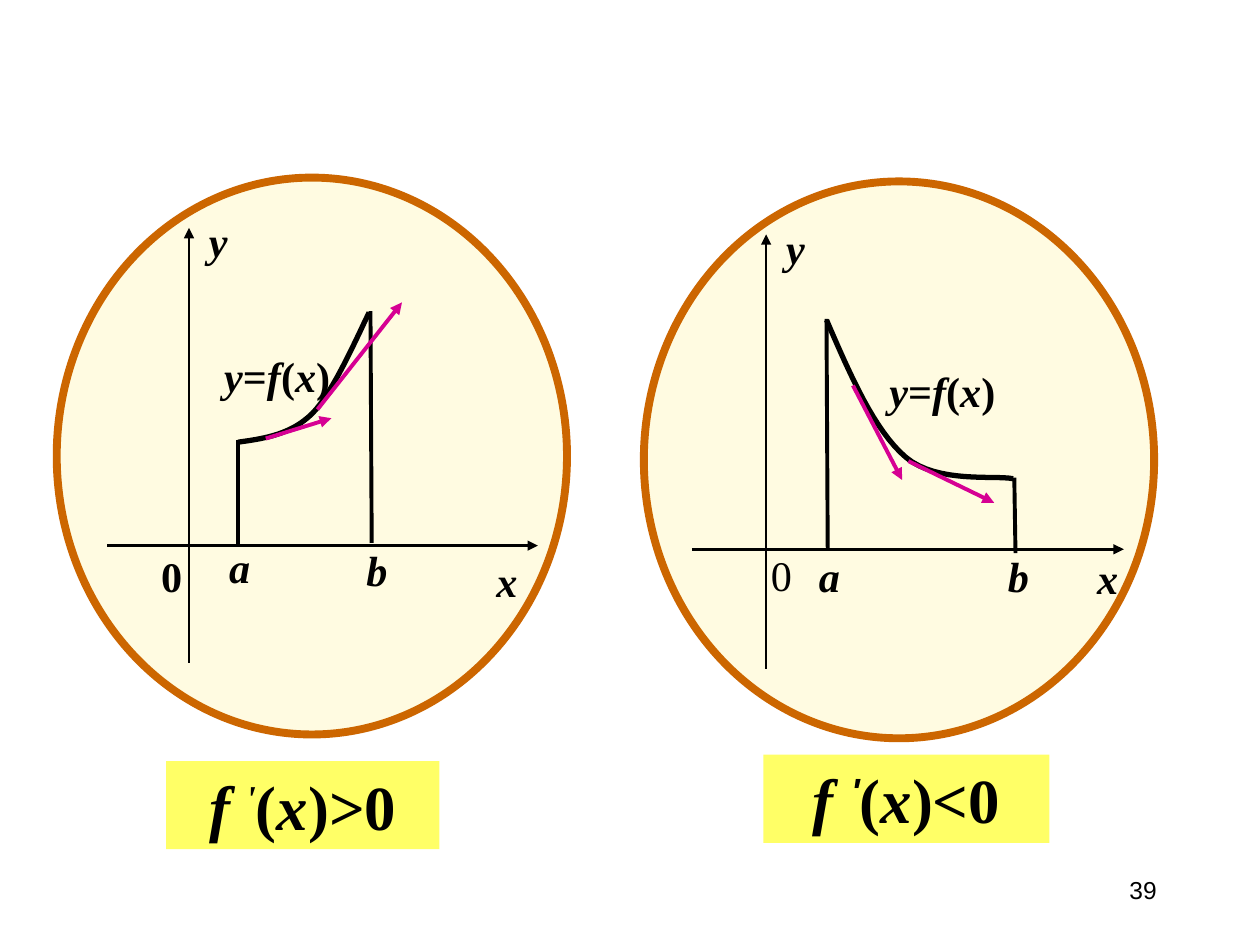
from lxml.etree import SubElement
from pptx import Presentation
from pptx.dml.color import RGBColor
from pptx.enum.shapes import MSO_CONNECTOR as Connector, MSO_SHAPE as Shape
from pptx.enum.text import MSO_ANCHOR as Anchor, PP_ALIGN as Align
from pptx.oxml.ns import qn
from pptx.util import Pt

COLORS = {
    "ink": "000000",
    "cream": "FFFBE1",
    "orange": "CC6600",
    "magenta": "D60093",
    "yellow": "FFFF66",
}
SERIF = "Times New Roman"
SANS = "Arial"
ITALIC = set("abfxy'")


def color(name):
    return RGBColor.from_string(COLORS[name])


def bezier(start, first, second, end, steps=16):
    for step in range(1, steps + 1):
        t = step / steps
        weights = ((1 - t) ** 3, 3 * t * (1 - t) ** 2, 3 * t * t * (1 - t), t ** 3)
        yield tuple(
            sum(weight * value for weight, value in zip(weights, values))
            for values in zip(start, first, second, end)
        )


class Board:
    def __init__(self, slide):
        self.slide = slide

    def shape(self, kind, box, fill, outline=None):
        shape = self.slide.shapes.add_shape(kind, *map(Pt, box))
        shape.shadow.inherit = False
        shape.fill.solid()
        shape.fill.fore_color.rgb = color(fill)
        if outline:
            shape.line.color.rgb = color(outline)
            shape.line.width = Pt(4.5)
        else:
            shape.line.fill.background()
        return shape

    def line(self, start, end, width, ink="ink", arrow=False):
        line = self.slide.shapes.add_connector(
            Connector.STRAIGHT, *map(Pt, (*start, *end))
        )
        line.line.color.rgb = color(ink)
        line.line.width = Pt(width)
        properties = line._element.spPr
        if arrow:
            SubElement(properties.find(qn("a:ln")), qn("a:tailEnd"), type="triangle")
        SubElement(properties, qn("a:effectLst"))

    def curve(self, points):
        builder = self.slide.shapes.build_freeform(*map(Pt, points[0]))
        vertices = [
            point
            for index in range(0, len(points) - 1, 3)
            for point in bezier(*points[index:index + 4])
        ]
        builder.add_line_segments([(Pt(x), Pt(y)) for x, y in vertices], close=False)
        curve = builder.convert_to_shape()
        curve.shadow.inherit = False
        curve.fill.background()
        curve.line.color.rgb = color("ink")
        curve.line.width = Pt(3)

    def run(self, paragraph, text, size, font=SERIF, bold=True, raised=False):
        run = paragraph.add_run()
        run.text = text
        run.font.size = Pt(size)
        run.font.name = font
        run.font.bold = bold
        run.font.italic = text[0] in ITALIC
        run.font.color.rgb = color("ink")
        if raised:
            run._r.get_or_add_rPr().set("baseline", "30000")

    def label(self, text, position, width=26, bold=True):
        box = self.slide.shapes.add_textbox(*map(Pt, (*position, width, 36.7)))
        box.text_frame.word_wrap = len(text) == 1
        for character in text:
            self.run(box.text_frame.paragraphs[0], character, 24.1, bold=bold)

    def caption(self, box, head, ending):
        frame = self.shape(Shape.RECTANGLE, box, "yellow").text_frame
        frame.word_wrap = True
        frame.vertical_anchor = Anchor.TOP
        paragraph = frame.paragraphs[0]
        paragraph.alignment = Align.CENTER
        for text, font, bold, raised in head:
            self.run(paragraph, text, 35.9, font, bold, raised)
        for text in ("(", "x", ending):
            self.run(paragraph, text, 35.9)

    def page_number(self, text):
        box = self.slide.shapes.add_textbox(*map(Pt, (516.2, 491.8, 167.8, 37.4)))
        frame = box.text_frame
        frame.word_wrap = True
        frame.margin_left = frame.margin_right = Pt(23)
        frame.margin_top = frame.margin_bottom = Pt(11.5)
        frame.paragraphs[0].alignment = Align.RIGHT
        self.run(frame.paragraphs[0], text, 14, SANS, False)

    def graph(self, ellipse, axes, labels, zero, sides, curve, tangents):
        self.shape(Shape.OVAL, (*ellipse, 291.6, 318.2), "cream", "orange")
        for start, end in axes:
            self.line(start, end, 1.5, arrow=True)
        self.label("0", zero[0], 46.8, zero[1])
        for text, position in labels.items():
            self.label(text, position, 75.6 if len(text) > 1 else 26)
        for start, end in sides:
            self.line(start, end, 2.25)
        self.curve(curve)
        for start, end in tangents:
            self.line(start, end, 2.25, "magenta", True)


RISING = dict(
    ellipse=(32.4, 101.5),
    axes=[((61.2, 311.8), (307.4, 311.8)), ((108, 378.7), (108, 130.3))],
    labels={"x": (276.5, 313.9), "y=f(x)": (121, 196.6), "y": (112.3, 119.5),
            "b": (202.3, 307.4), "a": (123.8, 306)},
    zero=((85, 311), True),
    sides=[((136.1, 251.3), (136.1, 312.5)), ((211.7, 177.8), (212.4, 310.3))],
    curve=[(136.1, 252.7), (151.2, 250.6), (166.3, 248.4), (178.6, 236.2),
           (190.8, 223.9), (205.9, 188.6), (211, 178.6)],
    tangents=[((151.9, 250.6), (189.4, 239)), ((181.4, 234), (229.7, 172.8))],
)
FALLING = dict(
    ellipse=(367.9, 103.7),
    axes=[((395.3, 313.9), (642.2, 313.9)), ((437.8, 382.3), (437.8, 133.9))],
    labels={"x": (619.9, 311.8), "y=f(x)": (501.1, 205.2), "y": (442.1, 123.8),
            "b": (568.8, 311), "a": (460.8, 311)},
    zero=((433.4, 310.3), False),
    sides=[((472.3, 182.2), (473, 314.6)), ((579.6, 272.9), (580.3, 316.1))],
    curve=[(472.3, 182.9), (486, 214.6), (499.7, 246.2), (517.7, 261.4),
           (535.7, 276.5), (568.8, 271.4), (578.9, 273.6)],
    tangents=[((487.4, 220.3), (515.5, 274.3)), ((519.1, 263.5), (568.1, 287.3))],
)


def main():
    presentation = Presentation()
    presentation.slide_width, presentation.slide_height = Pt(720), Pt(540)
    board = Board(presentation.slides.add_slide(presentation.slide_layouts[6]))
    board.page_number("39")
    for graph in (RISING, FALLING):
        board.graph(**graph)
    board.caption(
        (95, 434.9, 156.2, 50.4),
        [("f ", SERIF, True, False), ("'", SERIF, True, True)],
        ")>0",
    )
    board.caption(
        (436.3, 431.3, 163.4, 50.4),
        [("f", SERIF, True, False), (" ", SANS, False, False), ("'", SANS, True, True)],
        ")<0",
    )
    presentation.save("out.pptx")


if __name__ == "__main__":
    main()
